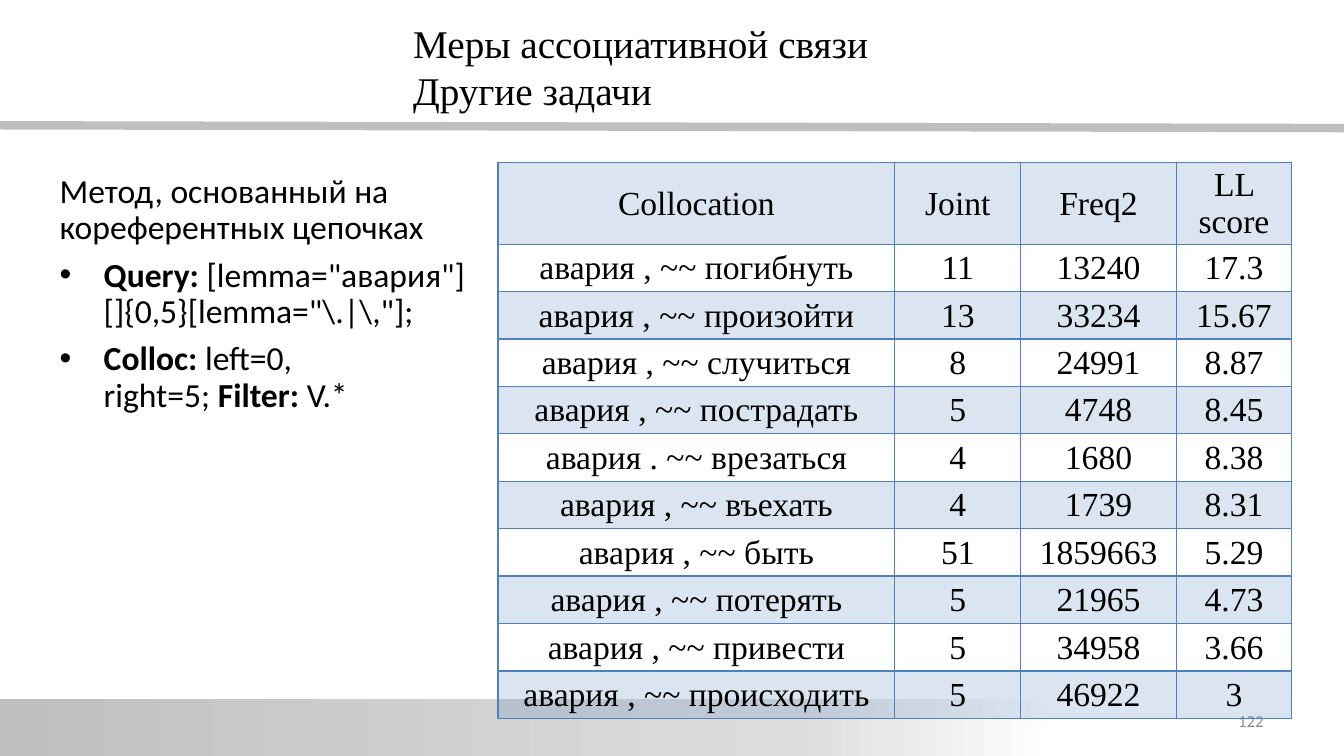
from copy import deepcopy
from dataclasses import dataclass

from lxml.etree import SubElement
from pptx import Presentation
from pptx.dml.color import RGBColor
from pptx.enum.shapes import MSO_CONNECTOR, MSO_SHAPE
from pptx.enum.text import MSO_ANCHOR, PP_ALIGN
from pptx.oxml.ns import qn
from pptx.util import Pt

NBSP = chr(160)
TITLE = ["Меры ассоциативной связи", "Другие задачи"]
INTRO = "Метод, основанный на кореферентных цепочках"
# Each bullet is a list of (text, bold) runs.
BULLETS = [
    [("Query:", True),
     (NBSP + '[lemma="авария"][]{0,5}[lemma="\\.|\\,"];', False)],
    [("Colloc:", True), (NBSP + "left=0, right=5;" + NBSP, False),
     ("Filter:", True), (NBSP + "V.*", False)],
]
ROWS = [
    ("Collocation", "Joint", "Freq2", "LL score"),
    ("авария , ~~ погибнуть", "11", "13240", "17.3"),
    ("авария , ~~ произойти", "13", "33234", "15.67"),
    ("авария , ~~ случиться", "8", "24991", "8.87"),
    ("авария , ~~ пострадать", "5", "4748", "8.45"),
    ("авария . ~~ врезаться", "4", "1680", "8.38"),
    ("авария , ~~ въехать", "4", "1739", "8.31"),
    ("авария , ~~ быть", "51", "1859663", "5.29"),
    ("авария , ~~ потерять", "5", "21965", "4.73"),
    ("авария , ~~ привести", "5", "34958", "3.66"),
    ("авария , ~~ происходить", "5", "46922", "3"),
]
NUMBER = "122"


@dataclass(frozen=True)
class Theme:
    serif: str = "Times New Roman"
    sans: str = "Calibri"
    ink: str = "000000"
    grey: str = "8C8C8C"
    rule: str = "BFBFBF"
    accent: str = "4F81BD"
    fade: tuple = ((0, "BFBFBF"), (0.75, "DDDDDD"), (1, "FFFFFF"))
    head: int = 28
    body: int = 24
    small: int = 12


THEME = Theme()
WIDTH, HEIGHT = 960, 540
COLS = (283.5, 90, 111, 82.5)
HEAD_ROW, ROW = 29.5, 33.9
TABLE_X, TABLE_Y = 355.7, 116


def rgb(code):
    return RGBColor.from_string(code)


def style(para, face, size, color=THEME.ink):
    for run in para.runs:
        run.font.name = face
        run.font.size = Pt(size)
        run.font.color.rgb = rgb(color)


def add_box(slide, x, y, w, h):
    frame = slide.shapes.add_textbox(Pt(x), Pt(y), Pt(w), Pt(h)).text_frame
    frame.word_wrap = True
    return frame


def add_frame(slide):
    """Draw the rule under the title and the fading band at the bottom."""
    rule = slide.shapes.add_connector(
        MSO_CONNECTOR.STRAIGHT, 0, Pt(89.5), Pt(WIDTH), Pt(91.5))
    rule.line.color.rgb = rgb(THEME.rule)
    rule.line.width = Pt(6)
    SubElement(rule._element.spPr, qn("a:effectLst"))

    band = slide.shapes.add_shape(
        MSO_SHAPE.RECTANGLE, Pt(-2), Pt(499), Pt(760), Pt(41))
    band.shadow.inherit = False
    band.line.fill.background()
    band.fill.gradient()
    band.fill.gradient_angle = 0
    first = band._element.spPr.find(".//" + qn("a:gs"))
    first.addnext(deepcopy(first))
    for stop, (place, color) in zip(band.fill.gradient_stops, THEME.fade):
        stop.position = place
        stop.color.rgb = rgb(color)


def add_title(slide):
    frame = add_box(slide, 288, 10, 420, 75)
    frame.text = "\n".join(TITLE)
    for para in frame.paragraphs:
        style(para, THEME.serif, THEME.head)


def indent(para, left, first):
    props = para._p.get_or_add_pPr()
    props.set("marL", str(Pt(left)))
    props.set("indent", str(Pt(first)))
    return props


def add_method(slide):
    frame = add_box(slide, 31, 121, 314.5, 338)
    frame.text = INTRO
    indent(frame.paragraphs[0], 4.5, 0)
    for parts in BULLETS:
        para = frame.add_paragraph()
        for text, bold in parts:
            run = para.add_run()
            run.text = text
            run.font.bold = bold
        props = indent(para, 36, -31.5)
        SubElement(props, qn("a:buFont"), typeface="Arial")
        SubElement(props, qn("a:buChar"), char="•")
    for para in frame.paragraphs:
        para.line_spacing = 0.9
        para.space_before = Pt(8)
        style(para, THEME.sans, THEME.body)


def add_number(slide):
    frame = add_box(slide, 688, 500.5, 224, 29)
    frame.margin_left = frame.margin_right = Pt(9.4)
    frame.margin_top = frame.margin_bottom = Pt(9.4)
    frame.vertical_anchor = MSO_ANCHOR.MIDDLE
    frame.text = NUMBER
    frame.paragraphs[0].alignment = PP_ALIGN.RIGHT
    style(frame.paragraphs[0], THEME.sans, THEME.small, THEME.grey)


def paint(cell, shaded):
    """Give a cell its four borders and, if shaded, a pale accent fill."""
    props = cell._tc.get_or_add_tcPr()
    for side in ("lnL", "lnR", "lnT", "lnB"):
        line = SubElement(props, qn("a:" + side), w=str(Pt(1)))
        solid = SubElement(line, qn("a:solidFill"))
        SubElement(solid, qn("a:srgbClr"), val=THEME.accent)
    if shaded:
        cell.fill.solid()
        cell.fill.fore_color.rgb = rgb(THEME.accent)
        color = props.find(qn("a:solidFill") + "/" + qn("a:srgbClr"))
        SubElement(color, qn("a:alpha"), val="20000")
    else:
        cell.fill.background()


def add_scores(slide):
    heights = [HEAD_ROW] + [ROW] * (len(ROWS) - 1)
    table = slide.shapes.add_table(
        len(ROWS), len(COLS), Pt(TABLE_X), Pt(TABLE_Y),
        Pt(sum(COLS)), Pt(sum(heights))).table
    table.first_row = table.horz_banding = False
    for col, width in zip(table.columns, COLS):
        col.width = Pt(width)
    for r, (row, height) in enumerate(zip(ROWS, heights)):
        table.rows[r].height = Pt(height)
        for c, text in enumerate(row):
            cell = table.cell(r, c)
            cell.text = text
            cell.vertical_anchor = MSO_ANCHOR.MIDDLE
            cell.margin_left = cell.margin_right = cell.margin_top = Pt(0.75)
            cell.margin_bottom = 0
            para = cell.text_frame.paragraphs[0]
            para.alignment = PP_ALIGN.CENTER
            style(para, THEME.serif, THEME.body)
            paint(cell, r % 2 == 0)


def main():
    deck = Presentation()
    deck.slide_width, deck.slide_height = Pt(WIDTH), Pt(HEIGHT)
    slide = deck.slides.add_slide(deck.slide_layouts[6])
    for add in (add_frame, add_method, add_number, add_scores, add_title):
        add(slide)
    deck.save("out.pptx")


if __name__ == "__main__":
    main()
